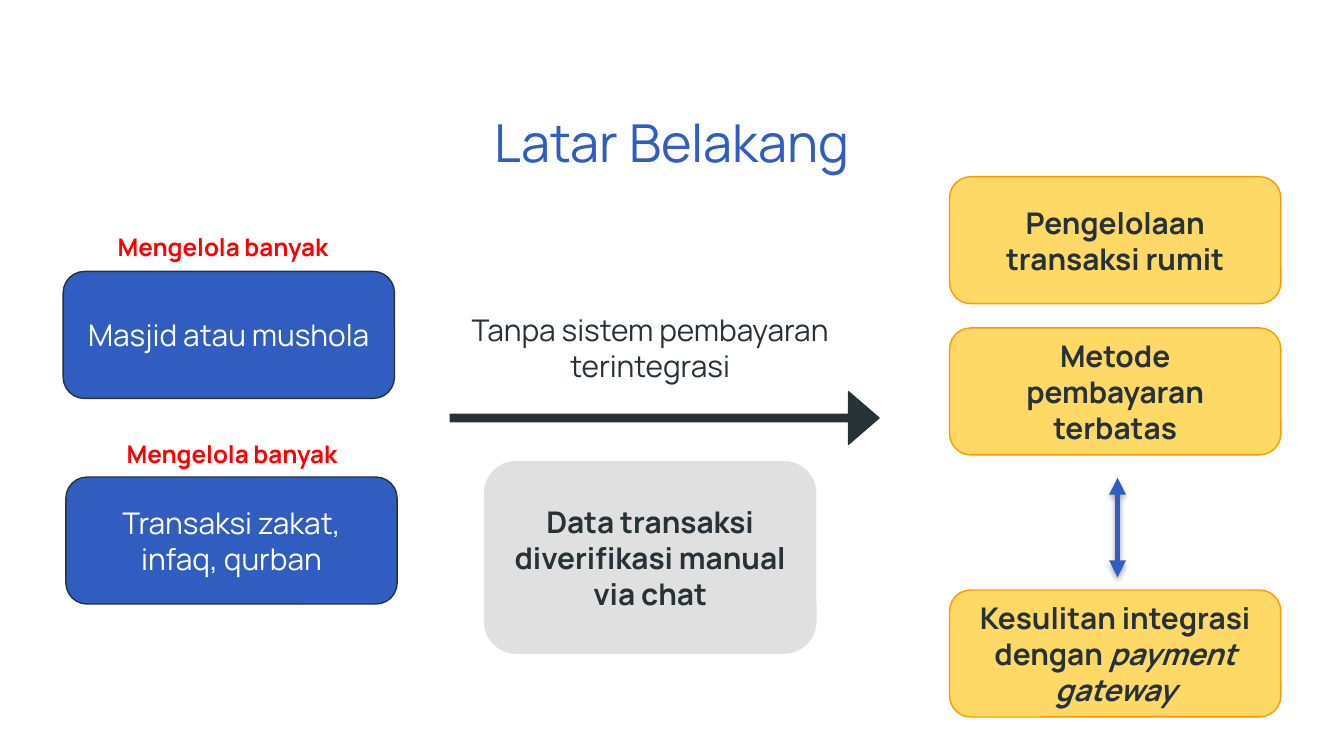
"""Build the "Latar Belakang" slide."""
from dataclasses import dataclass

from lxml import etree
from pptx import Presentation
from pptx import util as u
from pptx.dml.color import RGBColor
from pptx.enum import shapes, text
from pptx.oxml.ns import qn

SCALE = 4572
FONT = "Manrope"
BLUE, DARK, WHITE, RED = "305DBF", "263238", "FFFFFF", "FF0000"
GREY, YELLOW, ORANGE = "E0E0E0", "FFD966", "FF9900"
BOX_WIDTH, BOX_HEIGHT = 493, 189
PROBLEM_LEFT = 1413


@dataclass
class Style:
    """Colours and weight of a box."""
    fill: str
    line: str
    ink: str
    bold: bool = False


@dataclass
class Box:
    """A rounded box with centred text."""
    left: int
    top: int
    words: str
    style: Style
    italic_words: str = ""
    height: int = BOX_HEIGHT


@dataclass
class Caption:
    """Free text with no outline."""
    left: int
    top: int
    width: int
    height: int
    words: str
    size: int
    ink: str
    bold: bool = False
    anchor: text.MSO_ANCHOR = text.MSO_ANCHOR.TOP


CAUSE = Style(BLUE, DARK, WHITE)
PROCESS = Style(GREY, GREY, DARK, True)
PROBLEM = Style(YELLOW, ORANGE, DARK, True)

BOXES = [
    Box(98, 710, "Transaksi zakat, infaq, qurban", CAUSE),
    Box(94, 404, "Masjid atau mushola", CAUSE),
    Box(PROBLEM_LEFT, 263, "Pengelolaan transaksi rumit", PROBLEM),
    Box(PROBLEM_LEFT, 488, "Metode pembayaran terbatas", PROBLEM),
    Box(PROBLEM_LEFT, 878, "Kesulitan integrasi dengan ", PROBLEM, "payment gateway"),
]
VERIFICATION = Box(721, 687, "Data transaksi diverifikasi manual via chat", PROCESS,
                   height=285)
HEADINGS = [
    Caption(191, 117, 1618, 188, "Latar Belakang", 28, BLUE,
            anchor=text.MSO_ANCHOR.MIDDLE),
    Caption(670, 444, 595, 98, "Tanpa sistem pembayaran terintegrasi", 16, DARK),
]
CAUSE_LABELS = [
    Caption(98, 326, 467, 78, "Mengelola banyak", 13, RED, True),
    Caption(125, 634, 440, 78, "Mengelola banyak", 13, RED, True),
]


def px(length: int) -> u.Emu:
    """Turn px into EMU."""
    return u.Emu(length * SCALE)


def colour(code: str) -> RGBColor:
    """Turn a hex string into a colour."""
    return RGBColor.from_string(code)


def write(frame, words: str, size: int, ink: str, bold: bool,
          anchor: text.MSO_ANCHOR, italic_words: str = "") -> None:
    """Fill a text frame with one centred paragraph."""
    frame.word_wrap = True
    frame.auto_size = text.MSO_AUTO_SIZE.NONE
    frame.vertical_anchor = anchor
    frame.margin_left = frame.margin_right = px(20)
    frame.margin_top = frame.margin_bottom = px(20)
    paragraph = frame.paragraphs[0]
    paragraph.text = words
    paragraph.alignment = text.PP_ALIGN.CENTER
    if italic_words:
        emphasis = paragraph.add_run()
        emphasis.text = italic_words
        emphasis.font.italic = True
    for run in paragraph.runs:
        run.font.name = FONT
        run.font.size = u.Pt(size)
        run.font.bold = bold
        run.font.color.rgb = colour(ink)


def draw_shape(slide, kind: shapes.MSO_SHAPE, left: int, top: int, width: int,
               height: int, fill: str, line: str):
    """Add a filled, outlined shape without shadow."""
    shape = slide.shapes.add_shape(kind, px(left), px(top), px(width), px(height))
    shape.shadow.inherit = False
    shape.fill.solid()
    shape.fill.fore_color.rgb = colour(fill)
    shape.line.color.rgb = colour(line)
    shape.line.width = u.Pt(0.75)
    return shape


def draw_box(slide, box: Box) -> None:
    """Add a rounded box with its text."""
    style = box.style
    shape = draw_shape(slide, shapes.MSO_SHAPE.ROUNDED_RECTANGLE, box.left, box.top,
                       BOX_WIDTH, box.height, style.fill, style.line)
    write(shape.text_frame, box.words, 16, style.ink, style.bold,
          text.MSO_ANCHOR.MIDDLE, box.italic_words)


def draw_caption(slide, caption: Caption) -> None:
    """Add a text box."""
    area = slide.shapes.add_textbox(px(caption.left), px(caption.top),
                                    px(caption.width), px(caption.height))
    write(area.text_frame, caption.words, caption.size, caption.ink, caption.bold,
          caption.anchor)


def draw_process_arrow(slide) -> None:
    """Add the broad arrow from causes to problems."""
    arrow = draw_shape(slide, shapes.MSO_SHAPE.RIGHT_ARROW, 670, 583, 638, 78, DARK, DARK)
    arrow.adjustments[0] = 0.14
    arrow.adjustments[1] = 0.58


def draw_problem_link(slide) -> None:
    """Add the two-headed line with a soft shadow."""
    link = slide.shapes.add_connector(shapes.MSO_CONNECTOR.STRAIGHT,
                                      px(1663), px(711), px(1663), px(859))
    link.line.color.rgb = colour(BLUE)
    link.line.width = u.Pt(3)
    properties = link._element.spPr
    outline = properties.find(qn("a:ln"))
    for end in ("a:headEnd", "a:tailEnd"):
        etree.SubElement(outline, qn(end), type="triangle")
    effects = etree.SubElement(properties, qn("a:effectLst"))
    shadow = etree.SubElement(effects, qn("a:outerShdw"), blurRad="40000", dist="23000",
                              dir="5400000", rotWithShape="0")
    black = etree.SubElement(shadow, qn("a:srgbClr"), val="000000")
    etree.SubElement(black, qn("a:alpha"), val="35000")


def main() -> None:
    """Build and save the slide."""
    deck = Presentation()
    deck.slide_width, deck.slide_height = px(2000), px(1125)
    slide = deck.slides.add_slide(deck.slide_layouts[6])
    for heading in HEADINGS:
        draw_caption(slide, heading)
    draw_box(slide, VERIFICATION)
    draw_process_arrow(slide)
    for box in BOXES:
        draw_box(slide, box)
    for label in CAUSE_LABELS:
        draw_caption(slide, label)
    draw_problem_link(slide)
    deck.save("out.pptx")


if __name__ == "__main__":
    main()
